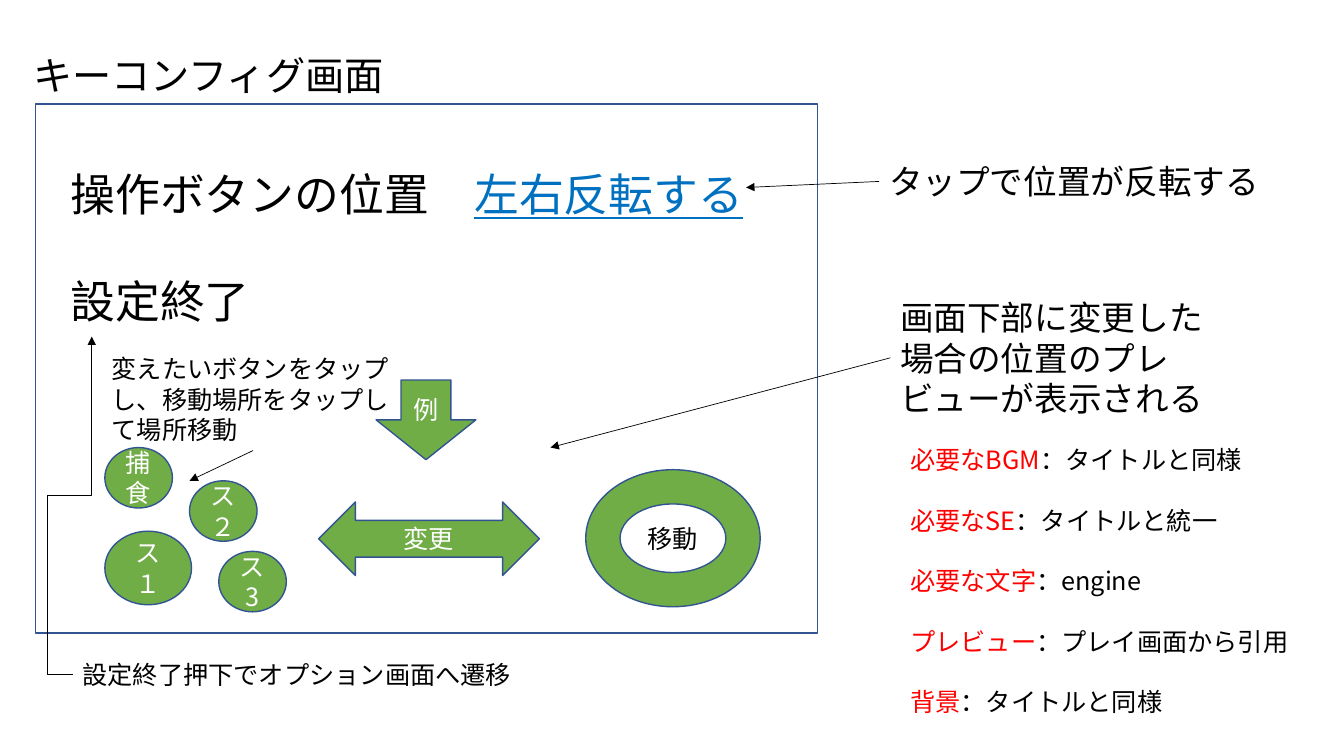
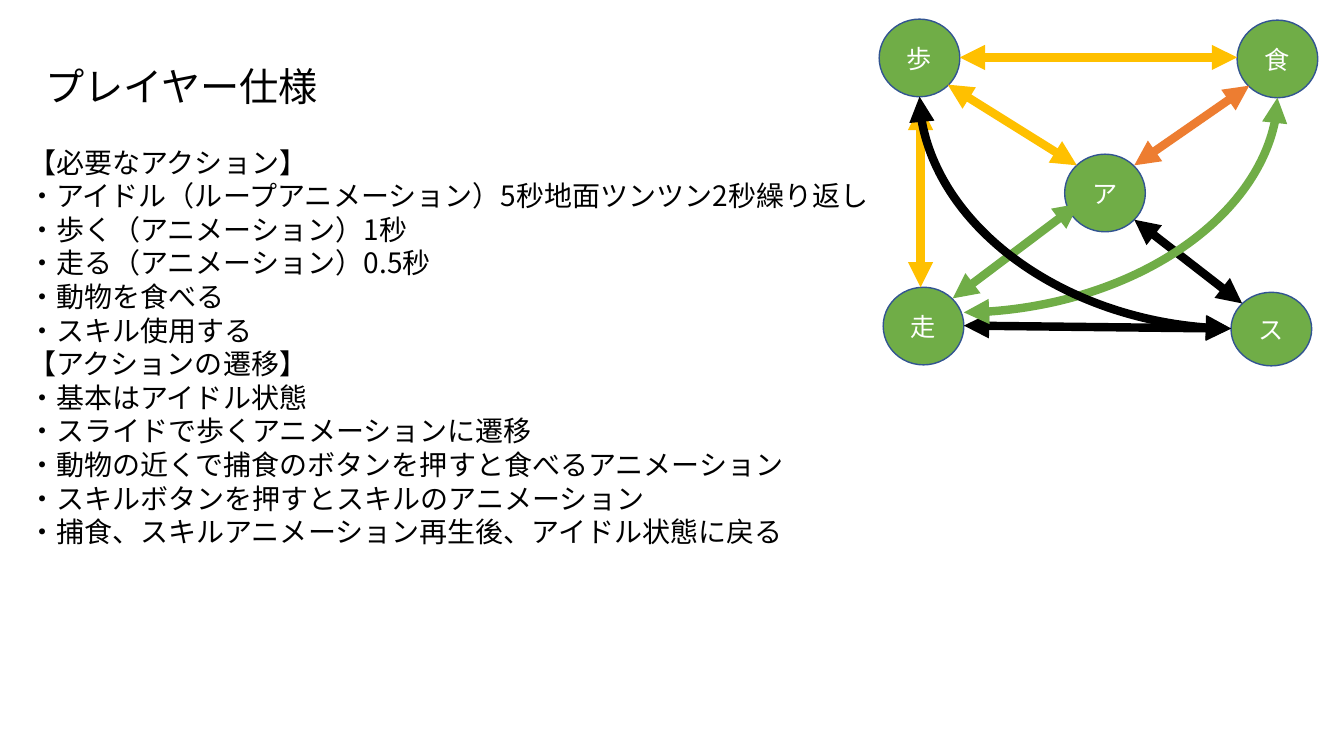
from lxml.etree import SubElement
from pptx import Presentation
from pptx.dml.color import RGBColor
from pptx.enum.shapes import MSO_CONNECTOR as LINK, MSO_SHAPE as SHAPE
from pptx.enum.text import MSO_ANCHOR as ANCHOR, PP_ALIGN as ALIGN
from pptx.oxml.ns import qn
from pptx.util import Inches, Pt

FONT = "Noto Sans CJK JP"
BLACK, WHITE, RED, BLUE = "000000", "FFFFFF", "FF0000", "0070C0"
GREEN, YELLOW, ORANGE, OUTLINE = "70AD47", "FFC000", "ED7D31", "325491"


def color(value):
    """Turn a hex string into a colour."""
    return RGBColor.from_string(value)


def apply(target, values):
    """Set each attribute of a dict on the target."""
    for name, value in values.items():
        setattr(target, name, value)


class Deck:
    """Holds the presentation, its style and the current slide."""

    def __init__(self):
        """Start a wide presentation."""
        self.presentation = Presentation()
        apply(self.presentation, {"slide_width": Inches(13.33), "slide_height": Inches(7.5)})
        self.slide = None

    def new_slide(self, title, left, top, width):
        """Add a blank slide with its title."""
        self.slide = self.presentation.slides.add_slide(self.presentation.slide_layouts[6])
        self.text([title], left, top, width, 0.57, size=28)

    def add_runs(self, paragraph, runs, size, fill=BLACK):
        """Put a string, or (text, format) pairs, into a paragraph."""
        for text, values in [(runs, {})] if isinstance(runs, str) else runs:
            run = paragraph.add_run()
            run.text = text
            apply(run.font, {"size": Pt(size), "name": FONT,
                             "underline": values.get("underline")})
            run.font.color.rgb = color(values.get("color", fill))
            SubElement(run.font._element, qn("a:ea"), typeface=FONT)

    def text(self, lines, left, top, width, height, size=18, gap=0, margin_top=0.05):
        """Add a text box with one paragraph per line and a gap between them."""
        box = self.slide.shapes.add_textbox(*map(Inches, (left, top, width, height)))
        frame = box.text_frame
        apply(frame, {"word_wrap": True, "margin_top": Inches(margin_top)})
        for index, runs in enumerate(lines):
            paragraph = frame.add_paragraph() if index else frame.paragraphs[0]
            paragraph.space_before = Pt(gap if index else 0)
            self.add_runs(paragraph, runs, size)

    def shape(self, kind, left, top, width, height, label="", fill=GREEN, ink=WHITE):
        """Add an outlined preset shape with a centred label."""
        shape = self.slide.shapes.add_shape(kind, *map(Inches, (left, top, width, height)))
        shape.shadow.inherit = False
        if fill:
            shape.fill.solid()
            shape.fill.fore_color.rgb = color(fill)
        else:
            shape.fill.background()
        shape.line.color.rgb = color(OUTLINE)
        shape.line.width = Pt(1)
        if label:
            apply(shape.text_frame, {"word_wrap": True, "vertical_anchor": ANCHOR.MIDDLE})
            paragraph = shape.text_frame.paragraphs[0]
            paragraph.alignment = ALIGN.CENTER
            self.add_runs(paragraph, label, 18, ink)

    def arrow(self, start, end, ink=BLACK, width=0.5, ends=("tailEnd",), preset="line", adjust=()):
        """Add a connector with arrowheads, straight or with another preset outline."""
        connector = self.slide.shapes.add_connector(LINK.STRAIGHT, *map(Inches, start + end))
        connector.line.color.rgb = color(ink)
        connector.line.width = Pt(width)
        properties = connector._element.spPr
        for name in ends:
            SubElement(properties.find(qn("a:ln")), qn(f"a:{name}"), type="triangle")
        SubElement(properties, qn("a:effectLst"))
        geometry = properties.find(qn("a:prstGeom"))
        geometry.set("prst", preset)
        for index, value in enumerate(adjust, 1):
            SubElement(geometry.find(qn("a:avLst")), qn("a:gd"), name=f"adj{index}",
                       fmla=f"val {round(value * 100000)}")

    def transition(self, start, end, ink, preset="line"):
        """Add a thick arrow that points both ways."""
        self.arrow(start, end, ink, 6, ("headEnd", "tailEnd"), preset)


def build_key_config(deck):
    """Draw the key configuration screen and its remarks."""
    deck.new_slide("キーコンフィグ画面", 0.23, 0.46, 4.42)
    deck.shape(SHAPE.RECTANGLE, 0.35, 1.03, 7.76, 5.25, fill=None)
    deck.text([[("操作ボタンの位置\u3000", {}), ("左右反転する", {"color": BLUE, "underline": True})],
               "設定終了"], 0.6, 1.07, 7.23, 2.79, size=32, gap=38.4, margin_top=0.58)

    deck.shape(SHAPE.DOWN_ARROW, 3.73, 3.77, 0.99, 0.79, "例")
    deck.shape(SHAPE.DONUT, 5.81, 4.66, 1.73, 1.36, "移動", ink=BLACK)
    deck.shape(SHAPE.OVAL, 1.04, 5.27, 0.86, 0.73, "ス１")
    for label, left, top in [("捕食", 1.04, 4.44), ("ス２", 1.88, 4.77), ("ス3", 2.17, 5.47)]:
        deck.shape(SHAPE.OVAL, left, top, 0.67, 0.6, label)
    deck.shape(SHAPE.LEFT_RIGHT_ARROW, 3.16, 4.98, 2.19, 0.73, "変更")

    needs = [("必要なBGM", "タイトルと同様"), ("必要なSE", "タイトルと統一"),
             ("必要な文字", "engine"), ("プレビュー", "プレイ画面から引用"),
             ("背景", "タイトルと同様")]
    deck.text([[(need, {"color": RED}), (f"：{answer}", {})] for need, answer in needs],
              8.93, 4.36, 4.21, 2.83, gap=21.6)

    deck.text(["タップで位置が反転する"], 8.72, 1.55, 4.01, 0.5, size=24)
    deck.arrow((8.72, 1.8), (7.4, 1.86))
    deck.text(["画面下部に変更した場合の位置のプレビューが表示される"], 8.83, 2.9, 3.34, 1.31, size=24)
    deck.arrow((8.83, 3.55), (5.46, 4.44))
    deck.text(["設定終了押下でオプション画面へ遷移"], 0.72, 6.49, 4.49, 0.4)
    deck.arrow((0.72, 6.69), (0.91, 3.34), preset="bentConnector4", adjust=(-1.31, 0.53))
    deck.text(["変えたいボタンをタップし、移動場所をタップして場所移動"], 1.01, 3.46, 3, 1.01)
    deck.arrow((2.51, 4.47), (1.88, 4.77))


def build_player(deck):
    """Draw the player's actions and the transitions between them."""
    deck.new_slide("プレイヤー仕様", 0.35, 0.57, 3.94)
    deck.text(["【必要なアクション】",
               "・アイドル（ループアニメーション）5秒地面ツンツン2秒繰り返し",
               "・歩く（アニメーション）1秒",
               "・走る（アニメーション）0.5秒",
               "・動物を食べる",
               "・スキル使用する",
               "【アクションの遷移】",
               "・基本はアイドル状態",
               "・スライドで歩くアニメーションに遷移",
               "・動物の近くで捕食のボタンを押すと食べるアニメーション",
               "・スキルボタンを押すとスキルのアニメーション",
               "・捕食、スキルアニメーション再生後、アイドル状態に戻る"],
              0.18, 1.39, 12.38, 4.14, size=20)

    for label, left, top, height in [("走", 8.76, 2.85, 0.77), ("歩", 8.72, 0.19, 0.77),
                                     ("ス", 12.21, 2.9, 0.73), ("食", 12.27, 0.2, 0.77),
                                     ("ア", 10.56, 1.53, 0.77)]:
        deck.shape(SHAPE.OVAL, left, top, 0.8, height, label)

    for start, end, ink in [((9.13, 1.04), (9.13, 2.85), YELLOW),
                            ((9.4, 0.84), (10.68, 1.64), YELLOW),
                            ((10.7, 2.02), (9.45, 2.96), GREEN),
                            ((11.25, 1.64), (12.39, 0.85), ORANGE),
                            ((12.32, 3.01), (11.25, 2.18), BLACK),
                            ((9.56, 3.23), (12.21, 3.26), BLACK),
                            ((9.52, 0.57), (12.27, 0.57), YELLOW)]:
        deck.transition(start, end, ink)
    for start, end, ink in [((9.56, 3.1), (12.67, 0.97), GREEN),
                            ((12.21, 3.26), (9.12, 0.96), BLACK)]:
        deck.transition(start, end, ink, "curvedConnector2")


deck = Deck()
build_key_config(deck)
build_player(deck)
deck.presentation.save("out.pptx")
